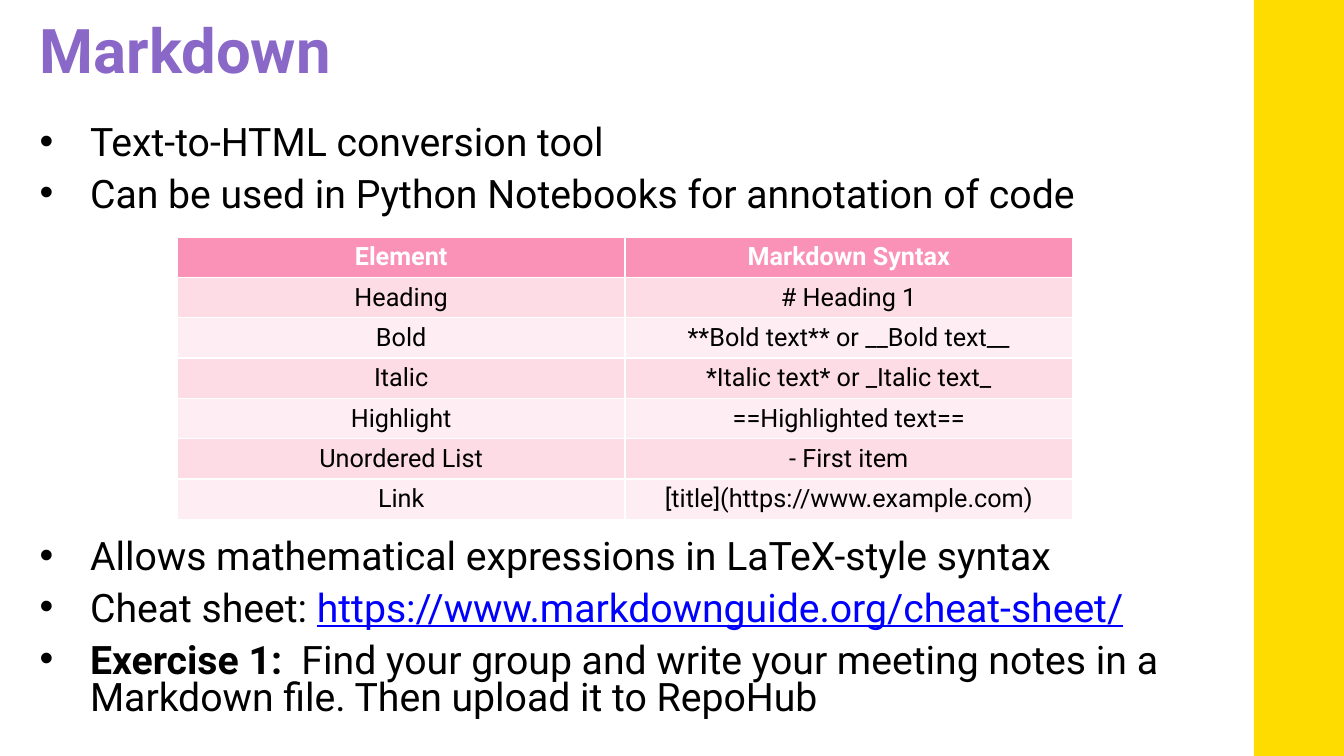
from lxml.etree import SubElement
from pptx import Presentation
from pptx.dml.color import RGBColor
from pptx.enum.shapes import MSO_SHAPE as Shape
from pptx.enum.text import MSO_ANCHOR as Anchor, PP_ALIGN as Align
from pptx.oxml.ns import qn
from pptx.util import Cm, Pt

FONT = "Roboto"
BLACK = RGBColor(0x00, 0x00, 0x00)
WHITE = RGBColor(0xFF, 0xFF, 0xFF)
YELLOW = RGBColor(0xFF, 0xDC, 0x00)
PURPLE = RGBColor(0x8A, 0x68, 0xC8)
BLUE = RGBColor(0x00, 0x00, 0xFF)
PINK = RGBColor(0xFA, 0x91, 0xB6)
ROSE = RGBColor(0xFD, 0xDC, 0xE5)
BLUSH = RGBColor(0xFE, 0xEE, 0xF3)

WIDE, TALL = Cm(33.87), Cm(19.05)
MAIN = Cm(31.55)
HEAD = Cm(2.69)
TABLE_GAP = 232

ROWS = [
    ("Element", "Markdown Syntax"),
    ("Heading", "# Heading 1"),
    ("Bold", "**Bold text** or __Bold text__"),
    ("Italic", "*Italic text* or _Italic text_"),
    ("Highlight", "==Highlighted text=="),
    ("Unordered List", "- First item"),
    ("Link", "[title](https://www.example.com)"),
]

PLAIN, LINK, STRONG = "plain", "link", "strong"
POINTS = [
    (10, [("Text-to-HTML conversion tool", PLAIN)]),
    (10, [("Can be used in Python Notebooks for annotation of code", PLAIN)]),
    (TABLE_GAP, [("Allows mathematical expressions in LaTeX-style syntax", PLAIN)]),
    (10, [("Cheat sheet: ", PLAIN),
          ("https://www.markdownguide.org/cheat-sheet/", LINK)]),
    (10, [("Exercise 1: ", STRONG),
          (" Find your group and write your meeting notes in a "
           "Markdown file. Then upload it to RepoHub", PLAIN)]),
]


def style(run, size, color, bold=False):
    font = run.font
    font.name, font.size, font.bold = FONT, Pt(size), bold
    font.color.rgb = color


def add_bar(slide):
    left = Cm(31.6)
    bar = slide.shapes.add_shape(Shape.RECTANGLE, left, 0, WIDE - left, TALL)
    bar.shadow.inherit = False
    bar.fill.solid()
    bar.fill.fore_color.rgb = YELLOW
    bar.line.fill.background()


def add_box(slide, top, height):
    frame = slide.shapes.add_textbox(0, top, MAIN, height).text_frame
    frame.word_wrap = True
    frame.margin_left = frame.margin_right = Cm(1)
    frame.margin_top = frame.margin_bottom = Cm(0.5)
    return frame


def add_title(slide, text):
    frame = add_box(slide, 0, HEAD)
    frame.vertical_anchor = Anchor.MIDDLE
    frame.text = text
    para = frame.paragraphs[0]
    para.line_spacing = 0.9
    style(para.runs[0], 44, PURPLE, True)


def set_bullet(para):
    props = para._p.get_or_add_pPr()
    props.set("marL", str(Cm(1.27)))
    props.set("indent", str(-Cm(1.27)))
    SubElement(props, qn("a:buFont"), typeface="Arial")
    SubElement(props, qn("a:buChar"), char="•")


def add_list(slide, points):
    frame = add_box(slide, HEAD, TALL - HEAD)
    for i, (gap, parts) in enumerate(points):
        para = frame.add_paragraph() if i else frame.paragraphs[0]
        para.line_spacing = 0.8
        para.space_before = Pt(gap)
        set_bullet(para)
        for text, kind in parts:
            run = para.add_run()
            run.text = text
            style(run, 28, BLUE if kind == LINK else BLACK, kind == STRONG)
            run.font.underline = kind == LINK


def add_grid(slide, rows):
    grid = slide.shapes.add_table(len(rows), len(rows[0]), Cm(4.47), Cm(5.97),
                                  Cm(22.56), Cm(len(rows))).table
    for i, row in enumerate(rows):
        fill = (ROSE if i % 2 else BLUSH) if i else PINK
        for j, text in enumerate(row):
            cell = grid.cell(i, j)
            cell.fill.solid()
            cell.fill.fore_color.rgb = fill
            cell.vertical_anchor = Anchor.MIDDLE
            cell.text_frame.text = text
            para = cell.text_frame.paragraphs[0]
            para.alignment = Align.CENTER
            style(para.runs[0], 18, BLACK if i else WHITE, i == 0)


def main():
    deck = Presentation()
    deck.slide_width, deck.slide_height = WIDE, TALL
    slide = deck.slides.add_slide(deck.slide_layouts[6])
    add_bar(slide)
    add_title(slide, "Markdown")
    add_list(slide, POINTS)
    add_grid(slide, ROWS)
    deck.save("out.pptx")


if __name__ == "__main__":
    main()
